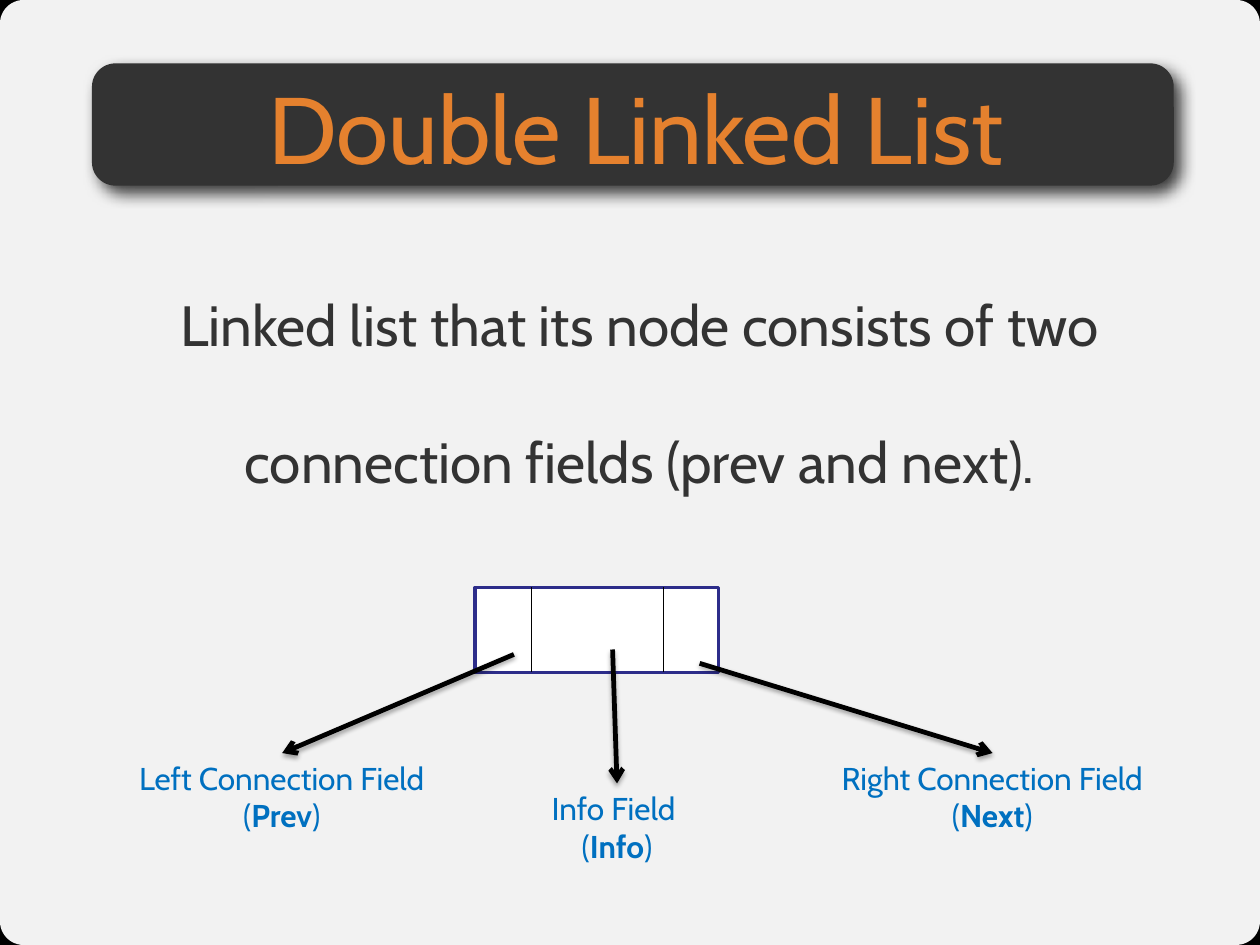
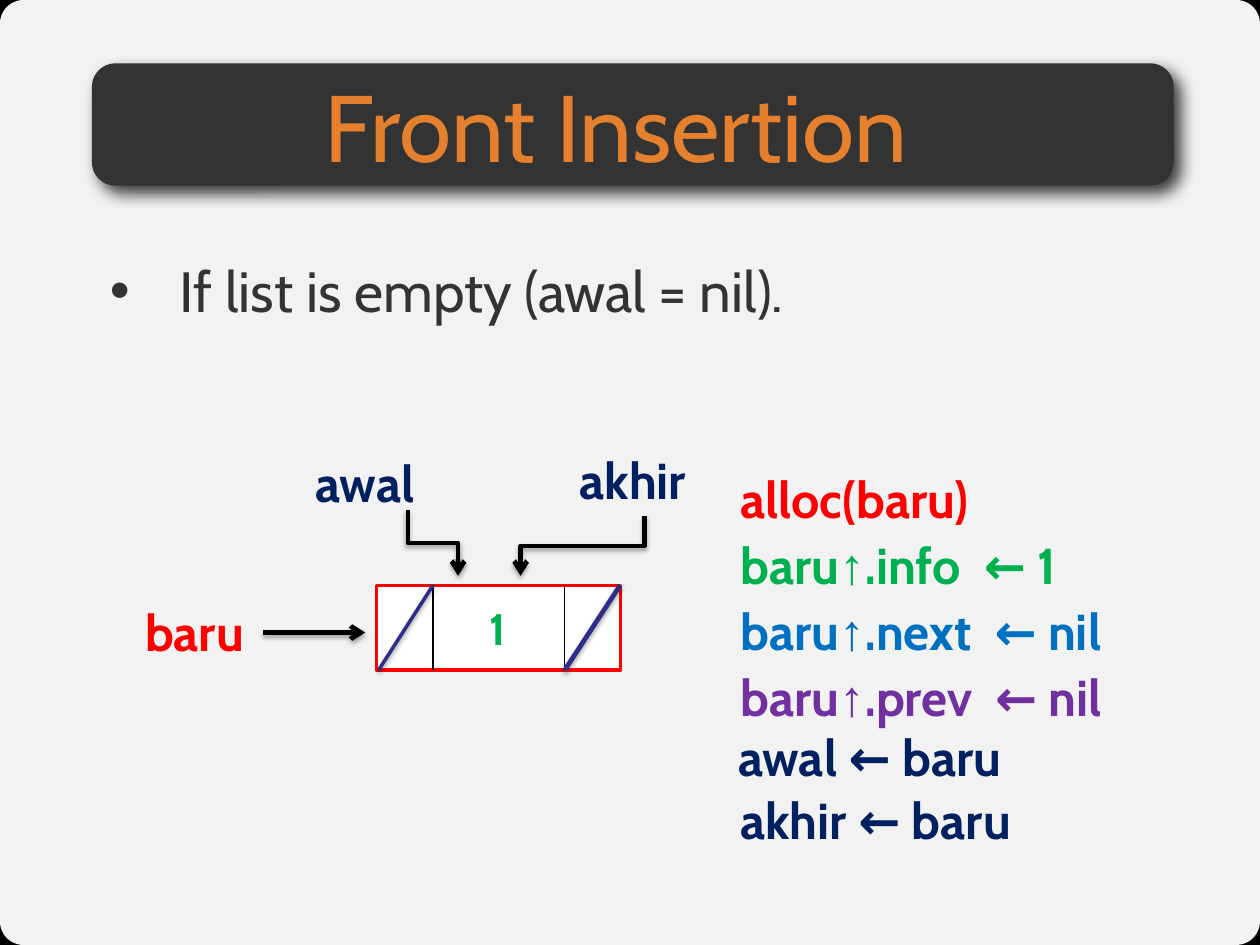
from dataclasses import dataclass

from lxml.etree import SubElement
from pptx import Presentation
from pptx.dml.color import RGBColor
from pptx.enum.shapes import MSO_CONNECTOR, MSO_SHAPE
from pptx.enum.text import MSO_ANCHOR, MSO_AUTO_SIZE, PP_ALIGN
from pptx.oxml.ns import qn
from pptx.util import Cm, Pt


@dataclass(frozen=True)
class Theme:
    font: str = "Cabin"
    symbol_font: str = "Arial Narrow"
    black: str = "000000"
    white: str = "FFFFFF"
    dark: str = "333333"
    orange: str = "E5812E"
    blue: str = "0070C0"
    navy: str = "002060"
    indigo: str = "2D2D8A"
    red: str = "FF0000"
    green: str = "00B050"
    purple: str = "7030A0"
    title_size: int = 60
    body_size: int = 36
    code_size: int = 32
    value_size: int = 28
    label_size: int = 20


@dataclass(frozen=True)
class Shadow:
    opacity: int
    blur: float
    distance: float
    angle: int


THEME = Theme()
BAND_SHADOW = Shadow(75, 10, 6, 51)
LINE_SHADOW = Shadow(35, 3.1, 1.8, 90)
SLIDE_SIZE = (28.22, 21.17)
NODE_WIDTH, NODE_HEIGHT = 5.46, 1.9
DIVIDERS = (1.27, 4.22)


def rgb(color):
    return RGBColor.from_string(color)


def lengths(values):
    return [Cm(value) for value in values]


def cast_shadow(effects, shadow):
    outer = SubElement(
        effects, qn("a:outerShdw"),
        blurRad=str(Pt(shadow.blur)), dist=str(Pt(shadow.distance)),
        dir=str(shadow.angle * 60000), algn="ctr", rotWithShape="0")
    color = SubElement(outer, qn("a:srgbClr"), val=THEME.black)
    SubElement(color, qn("a:alpha"), val=str(shadow.opacity * 1000))


def add_panel(shapes, kind, box, fill, border=None, corner=None):
    panel = shapes.add_shape(kind, *lengths(box))
    panel.shadow.inherit = False
    panel.fill.solid()
    panel.fill.fore_color.rgb = rgb(fill)
    if border:
        panel.line.color.rgb = rgb(border)
        panel.line.width = Pt(2)
    else:
        panel.line.fill.background()
    if corner is not None:
        panel.adjustments[0] = corner
    return panel


def style_run(run, size, color, bold=False, font=THEME.font):
    run.font.name = font
    run.font.size = Pt(size)
    run.font.bold = bold
    run.font.color.rgb = rgb(color)


def clear_margins(frame):
    frame.margin_left = frame.margin_right = 0
    frame.margin_top = frame.margin_bottom = 0


def add_text(slide, box, text, size, color, bold=False, align=PP_ALIGN.LEFT):
    frame = slide.shapes.add_textbox(*lengths(box)).text_frame
    frame.word_wrap = True
    frame.text = text
    paragraph = frame.paragraphs[0]
    paragraph.alignment = align
    for run in paragraph.runs:
        style_run(run, size, color, bold)
    return frame


def add_body(slide, box, text, spacing, align=PP_ALIGN.LEFT):
    frame = add_text(slide, box, text, THEME.body_size, THEME.dark, align=align)
    clear_margins(frame)
    paragraph = frame.paragraphs[0]
    paragraph.line_spacing = spacing
    return paragraph


def add_bullet(paragraph, indent):
    properties = paragraph._p.get_or_add_pPr()
    properties.set("marL", str(Cm(indent)))
    properties.set("indent", str(-Cm(indent)))
    SubElement(properties, qn("a:buFont"), typeface="Arial")
    SubElement(properties, qn("a:buChar"), char="•")


def add_field_label(slide, box, lines):
    frame = add_text(slide, box, "", THEME.label_size, THEME.blue)
    frame.auto_size = MSO_AUTO_SIZE.SHAPE_TO_FIT_TEXT
    for index, pieces in enumerate(lines):
        paragraph = frame.add_paragraph() if index else frame.paragraphs[0]
        paragraph.alignment = PP_ALIGN.CENTER
        for piece, bold in pieces:
            run = paragraph.add_run()
            run.text = piece
            style_run(run, THEME.label_size, THEME.blue, bold)


def add_code(slide, left, top, width, text, color):
    box = (left, top, width, 1.63)
    frame = add_text(slide, box, "", THEME.code_size, color)
    frame.auto_size = MSO_AUTO_SIZE.SHAPE_TO_FIT_TEXT
    before, pointer, after = text.partition("↑.")
    fonts = (THEME.font, THEME.symbol_font, THEME.font)
    for piece, font in zip((before, pointer, after), fonts):
        if piece:
            run = frame.paragraphs[0].add_run()
            run.text = piece
            style_run(run, THEME.code_size, color, True, font)


def add_line(shapes, start, end, color=THEME.black, width=3, arrow=False,
             shadow=None, kind=MSO_CONNECTOR.STRAIGHT):
    line = shapes.add_connector(kind, *lengths(start + end))
    line.line.color.rgb = rgb(color)
    line.line.width = Pt(width)
    properties = line.element.spPr
    if arrow:
        SubElement(properties.find(qn("a:ln")), qn("a:tailEnd"), type="arrow")
    effects = SubElement(properties, qn("a:effectLst"))
    if shadow:
        cast_shadow(effects, shadow)
    return line


def add_arrow(slide, start, end):
    add_line(slide.shapes, start, end, arrow=True, shadow=LINE_SHADOW)


def add_elbow_down(slide, start, end):
    (x1, y1), (x2, y2) = start, end
    drop, run = y2 - y1, abs(x2 - x1)
    left = (x1 + x2 - drop) / 2
    top = (y1 + y2 - run) / 2
    right, bottom = left + drop, top + run
    rightward = x2 > x1
    first, last = (right, left) if rightward else (left, right)
    elbow = add_line(slide.shapes, (first, top), (last, bottom), arrow=True,
                     shadow=LINE_SHADOW, kind=MSO_CONNECTOR.ELBOW)
    turn = 270 if rightward else 90
    elbow.element.spPr.find(qn("a:xfrm")).set("rot", str(turn * 60000))


def add_node(slide, left, top, border):
    parts = slide.shapes.add_group_shape().shapes
    add_panel(parts, MSO_SHAPE.RECTANGLE, (left, top, NODE_WIDTH, NODE_HEIGHT),
              THEME.white, border)
    for offset in DIVIDERS:
        x = left + offset
        add_line(parts, (x, top), (x, top + NODE_HEIGHT), width=0.75)


def add_titled_slide(deck, title_text, title_left, title_top):
    slide = deck.slides.add_slide(deck.slide_layouts[5])
    card = add_panel(slide.shapes, MSO_SHAPE.ROUNDED_RECTANGLE,
                     (0, 0) + SLIDE_SIZE, THEME.white, corner=0.025)
    tint = card.element.spPr.find(qn("a:solidFill")).find(qn("a:srgbClr"))
    SubElement(tint, qn("a:alpha"), val="95000")
    band = add_panel(slide.shapes, MSO_SHAPE.ROUNDED_RECTANGLE,
                     (2.06, 1.42, 24.23, 2.74), THEME.dark, corner=0.192)
    cast_shadow(band.element.spPr.find(qn("a:effectLst")), BAND_SHADOW)

    title = slide.shapes.title
    slide.shapes.element.append(title.element)
    title.left, title.top, title.width, title.height = lengths(
        (title_left, title_top, 24.13, 2.54))
    frame = title.text_frame
    frame.text = title_text
    frame.word_wrap = True
    frame.auto_size = MSO_AUTO_SIZE.NONE
    frame.vertical_anchor = MSO_ANCHOR.MIDDLE
    clear_margins(frame)
    frame.paragraphs[0].alignment = PP_ALIGN.CENTER
    style_run(frame.paragraphs[0].runs[0], THEME.title_size, THEME.orange)
    return slide


def build_definition(deck):
    slide = add_titled_slide(deck, "Double Linked List", 2.18, 1.57)
    add_body(slide, (1.42, 4.98, 25.81, 11.2),
             "Linked list that its node consists of two connection fields "
             "(prev and next).", 2.0, PP_ALIGN.CENTER)
    add_node(slide, 10.64, 13.16, THEME.indigo)

    def field(name):
        return [("(", False), (name, True), (")", False)]

    add_field_label(slide, (2.54, 16.87, 7.54, 1.96),
                    [[("Left Connection Field ", False)] + field("Prev")])
    add_field_label(slide, (10.95, 17.55, 5.74, 1.96),
                    [[("Info Field ", False)], field("Info")])
    add_field_label(slide, (18.21, 16.87, 8.03, 1.96),
                    [[("Right Connection Field ", False)] + field("Next")])
    add_arrow(slide, (11.51, 14.66), (6.32, 16.87))
    add_arrow(slide, (13.72, 14.55), (13.82, 17.55))
    add_arrow(slide, (15.67, 14.86), (22.23, 16.87))


def build_front_insertion(deck):
    slide = add_titled_slide(deck, "Front Insertion", 1.73, 1.52)
    condition = add_body(slide, (2.46, 4.98, 24.28, 14.2),
                         "If list is empty (awal = nil).", 1.5)
    add_bullet(condition, 1.57)

    left, top = 8.43, 13.11
    bottom = top + NODE_HEIGHT
    add_node(slide, left, top, THEME.red)
    add_line(slide.shapes, (left + DIVIDERS[0], top), (left + 0.05, bottom),
             THEME.indigo, 2.25, shadow=LINE_SHADOW)
    add_line(slide.shapes, (left + NODE_WIDTH, top),
             (left + DIVIDERS[1], bottom), THEME.indigo, shadow=LINE_SHADOW)
    add_text(slide, (10.34, 13.34, 1.6, 1.44), "1", THEME.value_size,
             THEME.green, True, PP_ALIGN.CENTER)

    for x, y, pointer, color in (
            (6.81, 10.01, "awal", THEME.navy),
            (12.73, 9.93, "akhir", THEME.navy),
            (3, 13.34, "baru", THEME.red)):
        add_code(slide, x, y, 3.2, pointer, color)
    add_elbow_down(slide, (9.14, 11.43), (10.26, 12.9))
    add_elbow_down(slide, (14.43, 11.56), (11.66, 12.9))
    add_arrow(slide, (5.89, 14.17), (8.18, 14.17))

    allocation = (
        ("alloc(baru)", THEME.red),
        ("baru↑.info  ← 1", THEME.green),
        ("baru↑.next  ← nil", THEME.blue),
        ("baru↑.prev  ← nil", THEME.purple),
    )
    for row, (statement, color) in enumerate(allocation):
        add_code(slide, 16.33, 10.36 + 1.48 * row, 10.59, statement, color)
    add_code(slide, 16.28, 16.15, 8.28, "awal ← baru", THEME.navy)
    add_code(slide, 16.33, 17.55, 7.62, "akhir ← baru", THEME.navy)


def main():
    deck = Presentation()
    deck.slide_width, deck.slide_height = lengths(SLIDE_SIZE)
    backdrop = deck.slide_master.background.fill
    backdrop.solid()
    backdrop.fore_color.rgb = rgb(THEME.black)
    build_definition(deck)
    build_front_insertion(deck)
    deck.save("out.pptx")


if __name__ == "__main__":
    main()
